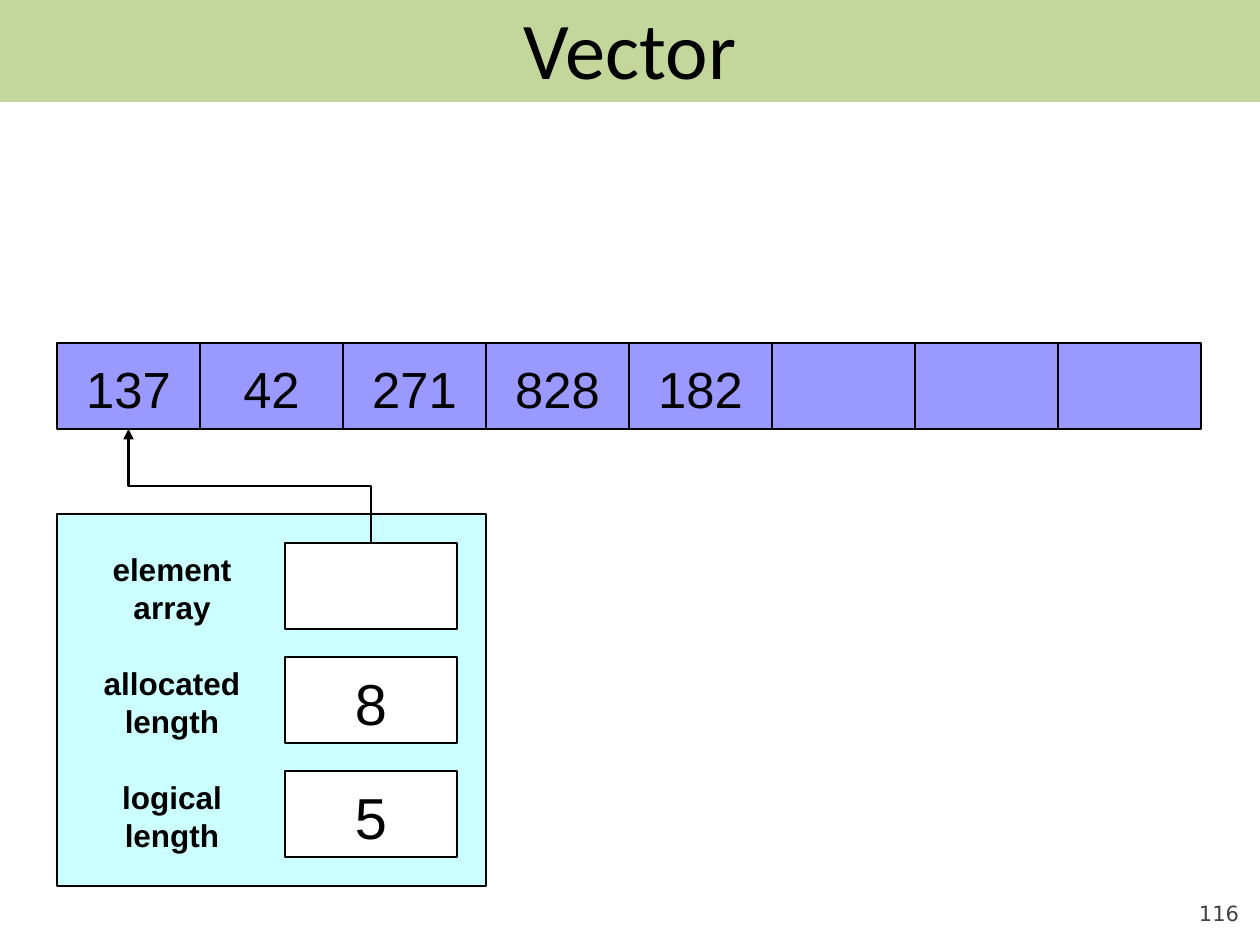
import pptx
import pptx.util
import pptx.dml.color
import pptx.enum.shapes
import pptx.enum.text
import pptx.oxml.ns
import lxml.etree
from dataclasses import dataclass

# Content
TITLE = "Vector"
PAGE_NUMBER = "116"
ELEMENTS = ["137", "42", "271", "828", "182", "", "", ""]
FIELDS = [
    (["element", "array"], ""),
    (["allocated", "length"], "8"),
    (["logical", "length"], "5"),
]


@dataclass(frozen=True)
class Theme:
    band: str = "C3D69B"
    cell: str = "9999FF"
    record: str = "CCFFFF"
    value: str = "FFFFFF"
    ink: str = "000000"
    number: str = "424242"
    title_font: str = "Calibri"
    body_font: str = "Arial"
    number_font: str = "DejaVu Sans"
    title_size: int = 46
    cell_size: int = 29
    value_size: int = 33
    label_size: int = 18
    number_size: int = 12
    line_width: float = 1.45


THEME = Theme()
SHAPE = pptx.enum.shapes.MSO_SHAPE
ALIGN = pptx.enum.text.PP_ALIGN
ANCHOR = pptx.enum.text.MSO_ANCHOR

# Layout, in px
PAGE_WIDTH, PAGE_HEIGHT = 1260, 945
LEFT, ROW_TOP = 57, 343
CELL_WIDTH, BOX_HEIGHT = 143, 86
RECORD_TOP, RECORD_WIDTH, RECORD_HEIGHT = 514, 429, 372
LABEL_LEFT, VALUE_LEFT, FIELD_WIDTH = 86, 285, 172
FIELD_TOP, FIELD_STEP = 543, 114


def px(length):
    return pptx.util.Emu(round(length * 914400 / 126))


def rgb(colour):
    return pptx.dml.color.RGBColor.from_string(colour)


def write(box, lines, size, font=THEME.body_font, colour=THEME.ink, bold=False,
          align=ALIGN.CENTER, anchor=ANCHOR.MIDDLE, margins=(13, 10, 13, 6)):
    frame = box.text_frame
    frame.word_wrap = False
    frame.vertical_anchor = anchor
    (frame.margin_left, frame.margin_top,
     frame.margin_right, frame.margin_bottom) = map(px, margins)
    frame.text = "\n".join(lines)
    for para in frame.paragraphs:
        para.alignment = align
        para.font.name = font
        para.font.size = pptx.util.Pt(size)
        para.font.bold = bold
        para.font.color.rgb = rgb(colour)


def add_box(page, bounds, fill, outlined=True, kind=SHAPE.RECTANGLE):
    box = page.shapes.add_shape(kind, *map(px, bounds))
    box.shadow.inherit = False
    box.fill.solid()
    box.fill.fore_color.rgb = rgb(fill)
    if outlined:
        box.line.color.rgb = rgb(THEME.ink)
        box.line.width = pptx.util.Pt(THEME.line_width)
    else:
        box.line.fill.background()
    return box


def add_label(page, bounds, lines, size, **style):
    write(page.shapes.add_textbox(*map(px, bounds)), lines, size, **style)


def add_rising_elbow(page, start, end):
    """Elbow arrow that leaves upwards: a flipped elbow turned by 270 degrees."""
    middle_x, middle_y = (start[0] + end[0]) / 2, (start[1] + end[1]) / 2
    half_run, half_rise = (start[0] - end[0]) / 2, (start[1] - end[1]) / 2
    arrow = page.shapes.add_connector(
        pptx.enum.shapes.MSO_CONNECTOR.ELBOW,
        px(middle_x - half_rise), px(middle_y + half_run),
        px(middle_x + half_rise), px(middle_y - half_run))
    arrow.line.color.rgb = rgb(THEME.ink)
    arrow.line.width = pptx.util.Pt(THEME.line_width)
    properties = arrow._element.spPr
    properties.find(pptx.oxml.ns.qn("a:xfrm")).set("rot", str(270 * 60000))
    head = lxml.etree.SubElement(arrow.line._get_or_add_ln(), pptx.oxml.ns.qn("a:tailEnd"))
    head.set("type", "triangle")
    lxml.etree.SubElement(properties, pptx.oxml.ns.qn("a:effectLst"))


def main():
    deck = pptx.Presentation()
    deck.slide_width, deck.slide_height = px(PAGE_WIDTH), px(PAGE_HEIGHT)
    page = deck.slides.add_slide(deck.slide_layouts[5])

    # Page number and title band
    add_label(page, (1134, 876, 105, 50), [PAGE_NUMBER], THEME.number_size,
              font=THEME.number_font, colour=THEME.number, align=ALIGN.RIGHT,
              anchor=ANCHOR.BOTTOM, margins=(0, 0, 0, 0))
    band = add_box(page, (0, 0, PAGE_WIDTH, 102), THEME.band, outlined=False,
                   kind=SHAPE.ROUNDED_RECTANGLE)
    band.adjustments[0] = 0

    # Vector record with its fields
    add_box(page, (LEFT, RECORD_TOP, RECORD_WIDTH, RECORD_HEIGHT), THEME.record)
    for index, (label, value) in enumerate(FIELDS):
        top = FIELD_TOP + index * FIELD_STEP
        box = add_box(page, (VALUE_LEFT, top, FIELD_WIDTH, BOX_HEIGHT), THEME.value)
        if value:
            write(box, [value], THEME.value_size)
        add_label(page, (LABEL_LEFT, top, FIELD_WIDTH, BOX_HEIGHT), label,
                  THEME.label_size, bold=True)

    # Pointer from the element array field to the first cell
    add_rising_elbow(page, (VALUE_LEFT + FIELD_WIDTH / 2, FIELD_TOP),
                     (LEFT + CELL_WIDTH / 2, ROW_TOP + BOX_HEIGHT))

    # Array cells
    for index, element in enumerate(ELEMENTS):
        cell = add_box(page, (LEFT + index * CELL_WIDTH, ROW_TOP, CELL_WIDTH, BOX_HEIGHT),
                       THEME.cell)
        if element:
            write(cell, [element], THEME.cell_size)

    # Title, in front of its band
    title = page.shapes.title
    title.left, title.top, title.width, title.height = map(px, (63, 0, 1134, 95))
    write(title, [TITLE], THEME.title_size, font=THEME.title_font, margins=(13, 6, 13, 6))
    title.text_frame.word_wrap = True
    page.shapes._spTree.append(title._element)

    deck.save("out.pptx")


if __name__ == "__main__":
    main()
